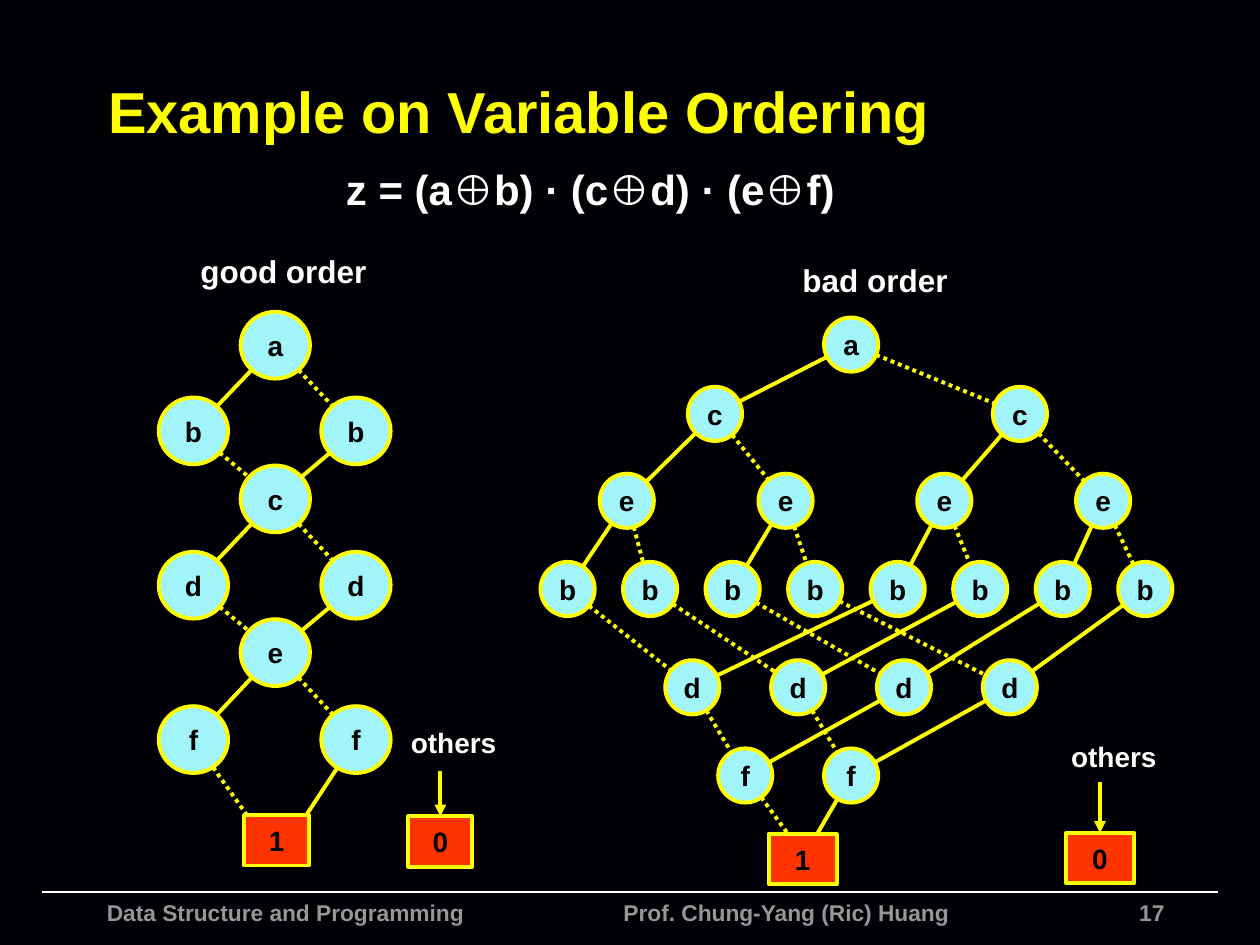
from dataclasses import dataclass
from math import hypot
from typing import NamedTuple

from lxml import etree
from pptx import Presentation
from pptx.dml.color import RGBColor
from pptx.enum.dml import MSO_LINE
from pptx.enum.shapes import MSO_CONNECTOR, MSO_SHAPE
from pptx.enum.text import MSO_ANCHOR, PP_ALIGN
from pptx.oxml.ns import qn
from pptx.util import Emu, Inches, Pt

STRAIGHT = MSO_CONNECTOR.STRAIGHT
OVAL, RECTANGLE = MSO_SHAPE.OVAL, MSO_SHAPE.RECTANGLE
DOTTED = MSO_LINE.ROUND_DOT
LEFT, CENTER, RIGHT = PP_ALIGN.LEFT, PP_ALIGN.CENTER, PP_ALIGN.RIGHT
TOP, MIDDLE = MSO_ANCHOR.TOP, MSO_ANCHOR.MIDDLE

# The slide is a grid of 100 columns by 75 rows of square cells
CELL = Inches(0.1)
COLUMNS, ROWS = 100, 75
FONT = "Arial"
COLORS = {
    "background": "010004", "title": "FFFF00", "text": "FFFFFF",
    "footer": "969696", "node": "A1F4F9", "terminal": "FF3300",
    "edge": "FFFF00", "label": "000000",
}


class Area(NamedTuple):
    left: float
    top: float
    width: float
    height: float


class Point(NamedTuple):
    x: float
    y: float


class Level(NamedTuple):
    """One row of equally spaced nodes, placed by their centres."""
    letter: str
    y: float
    first_x: float
    pitch: float
    count: int


@dataclass
class Diagram:
    heading: str
    heading_area: Area
    node_width: float
    node_height: float
    levels: list[Level]
    edges: list[str]      # "a0 b1 -" is a dotted edge, "a0 b0" a solid one
    one: Area
    one_spread: float     # distance from the middle of box 1 to its two edges
    zero: Area
    others_area: Area
    arrow_top: float


def grid(cells: float) -> Emu:
    return Emu(round(cells * CELL))


def color(name: str) -> RGBColor:
    return RGBColor.from_string(COLORS[name])


def write(frame, text: str, size: float, ink: str, align=LEFT, anchor=TOP,
          wrap: bool = False, tab: float = 0) -> None:
    frame.word_wrap = wrap
    frame.vertical_anchor = anchor
    frame.text = text
    para = frame.paragraphs[0]
    para.alignment = align
    if tab:
        tabs = etree.SubElement(para._p.get_or_add_pPr(), qn("a:tabLst"))
        etree.SubElement(tabs, qn("a:tab"), pos=str(grid(tab)), algn="l")
    for span in para.runs:
        span.font.name, span.font.size, span.font.bold = FONT, Pt(size), True
        span.font.color.rgb = color(ink)


def add_text(slide, area: Area, text: str, size: float, ink: str, **layout) -> None:
    box = slide.shapes.add_textbox(*map(grid, area))
    write(box.text_frame, text, size, ink, **layout)


def add_labelled(slide, kind, area: Area, label: str, fill: str):
    shape = slide.shapes.add_shape(kind, *map(grid, area))
    shape.shadow.inherit = False
    shape.fill.solid()
    shape.fill.fore_color.rgb = color(fill)
    shape.line.color.rgb = color("edge")
    shape.line.width = Pt(2.25)
    write(shape.text_frame, label, 16, "label", align=CENTER, anchor=MIDDLE)
    return shape


def add_line(slide, start: Point, end: Point, ink: str = "edge",
             width: float = 2.25, dotted: bool = False):
    line = slide.shapes.add_connector(STRAIGHT, *map(grid, (*start, *end)))
    line.line.color.rgb = color(ink)
    line.line.width = Pt(width)
    if dotted:
        line.line.dash_style = DOTTED
    etree.SubElement(line._element.spPr, qn("a:effectLst"))
    return line


def rim(center: Point, toward: Point, radius: float) -> Point:
    """Where the line from a node's centre toward a point leaves the node."""
    share = radius / hypot(toward.x - center.x, toward.y - center.y)
    return Point(center.x + share * (toward.x - center.x),
                 center.y + share * (toward.y - center.y))


def draw_diagram(slide, diagram: Diagram) -> None:
    # Nodes
    wide, high = diagram.node_width, diagram.node_height
    centers: dict[str, Point] = {}
    for level in diagram.levels:
        for index in range(level.count):
            center = Point(level.first_x + index * level.pitch, level.y)
            centers[f"{level.letter}{index}"] = center
            area = Area(center.x - wide / 2, center.y - high / 2, wide, high)
            add_labelled(slide, OVAL, area, level.letter, "node")

    # Edges between nodes, from rim to rim
    radius = (wide + high) / 4
    for edge in diagram.edges:
        source, target, *dots = edge.split()
        start, end = centers[source], centers[target]
        add_line(slide, rim(start, end, radius), rim(end, start, radius),
                 dotted=bool(dots))

    # Edges into terminal 1
    middle = diagram.one.left + diagram.one.width / 2
    for name, side in (("f0", -1), ("f1", 1)):
        end = Point(middle + side * diagram.one_spread, diagram.one.top)
        add_line(slide, rim(centers[name], end, radius), end, dotted=side < 0)

    # Terminals, with an arrow from "others" to 0
    add_labelled(slide, RECTANGLE, diagram.one, "1", "terminal")
    zero = add_labelled(slide, RECTANGLE, diagram.zero, "0", "terminal")
    middle = diagram.zero.left + diagram.zero.width / 2
    arrow = add_line(slide, Point(middle, diagram.arrow_top),
                     Point(middle, diagram.zero.top))
    arrow.end_connect(zero, 0)
    etree.SubElement(arrow.line._get_or_add_ln(), qn("a:tailEnd"), type="triangle")
    add_text(slide, diagram.others_area, "others", 16, "text", align=CENTER)
    add_text(slide, diagram.heading_area, diagram.heading, 18, "text", align=CENTER)


GOOD = Diagram(
    "good order", Area(14.9, 19.5, 15.2, 4), 5.5, 5.3,
    levels=[Level(letter, 27.4 + 12.2 * step, 21.85, 0, 1)
            for step, letter in enumerate("ace")]
    + [Level(letter, 34.2 + 12.25 * step, 15.35, 12.9, 2)
       for step, letter in enumerate("bdf")],
    edges=[f"{top}0 {pair}{side}" for top, pair, side in
           ("ab0", "cd0", "ef0")]
    + [f"{top}0 {pair}1 -" for top, pair in ("ab", "cd", "ef")]
    + [f"{pair}0 {low}0 -" for pair, low in ("bc", "de")]
    + [f"{pair}1 {low}0" for pair, low in ("bc", "de")],
    one=Area(19.4, 64.7, 5.1, 4), one_spread=2.35,
    zero=Area(32.4, 64.8, 5.1, 4),
    others_area=Area(31.6, 57.1, 8.8, 3.7), arrow_top=61.2,
)

BAD = Diagram(
    "bad order", Area(62.7, 20.2, 13.5, 4), 4.3, 4.3,
    levels=[
        Level("a", 27.35, 67.55, 0, 1), Level("c", 32.85, 56.75, 24.2, 2),
        Level("e", 39.75, 49.75, 12.6, 4), Level("b", 46.75, 45.05, 6.55, 8),
        Level("d", 54.55, 54.95, 8.4, 4), Level("f", 61.55, 59.15, 8.4, 2),
    ],
    # The tree splits down to b, then halves fold together down to f
    edges=[f"{top}{index // 2} {low}{index}{' -' * (index % 2)}"
           for top, low, count in (("a", "c", 2), ("c", "e", 4), ("e", "b", 8))
           for index in range(count)]
    + [f"{top}{index} {low}{index % half}{' -' * (index < half)}"
       for top, low, half in (("b", "d", 4), ("d", "f", 2))
       for index in range(2 * half)],
    one=Area(61, 66.2, 5.4, 4), one_spread=1.15,
    zero=Area(84.6, 66.1, 5.4, 4),
    others_area=Area(84, 58.2, 8.8, 3.7), arrow_top=62.1,
)


def main() -> None:
    deck = Presentation()
    deck.slide_width, deck.slide_height = grid(COLUMNS), grid(ROWS)
    slide = deck.slides.add_slide(deck.slide_layouts[6])
    slide.background.fill.solid()
    slide.background.fill.fore_color.rgb = color("background")

    # Footer
    add_line(slide, Point(3.3, 70.8), Point(96.7, 70.8), "text", 1)
    add_text(slide, Area(61.7, 70.8, 31.7, 1.8), "17", 13, "footer",
             align=RIGHT, wrap=True)
    add_text(slide, Area(7.5, 70.8, 72.4, 4.2),
             "Data Structure and Programming\tProf. Chung-Yang (Ric) Huang",
             13, "footer", wrap=True, tab=41)

    # Title and function
    add_text(slide, Area(7.6, 3.7, 88.4, 10.1), "Example on Variable Ordering",
             33, "title", anchor=MIDDLE, wrap=True)
    add_text(slide, Area(26.2, 12.5, 41.3, 5), "z = (a⊕b) · (c⊕d) · (e⊕f)",
             24, "text", align=CENTER)

    for diagram in (GOOD, BAD):
        draw_diagram(slide, diagram)
    deck.save("out.pptx")


if __name__ == "__main__":
    main()
